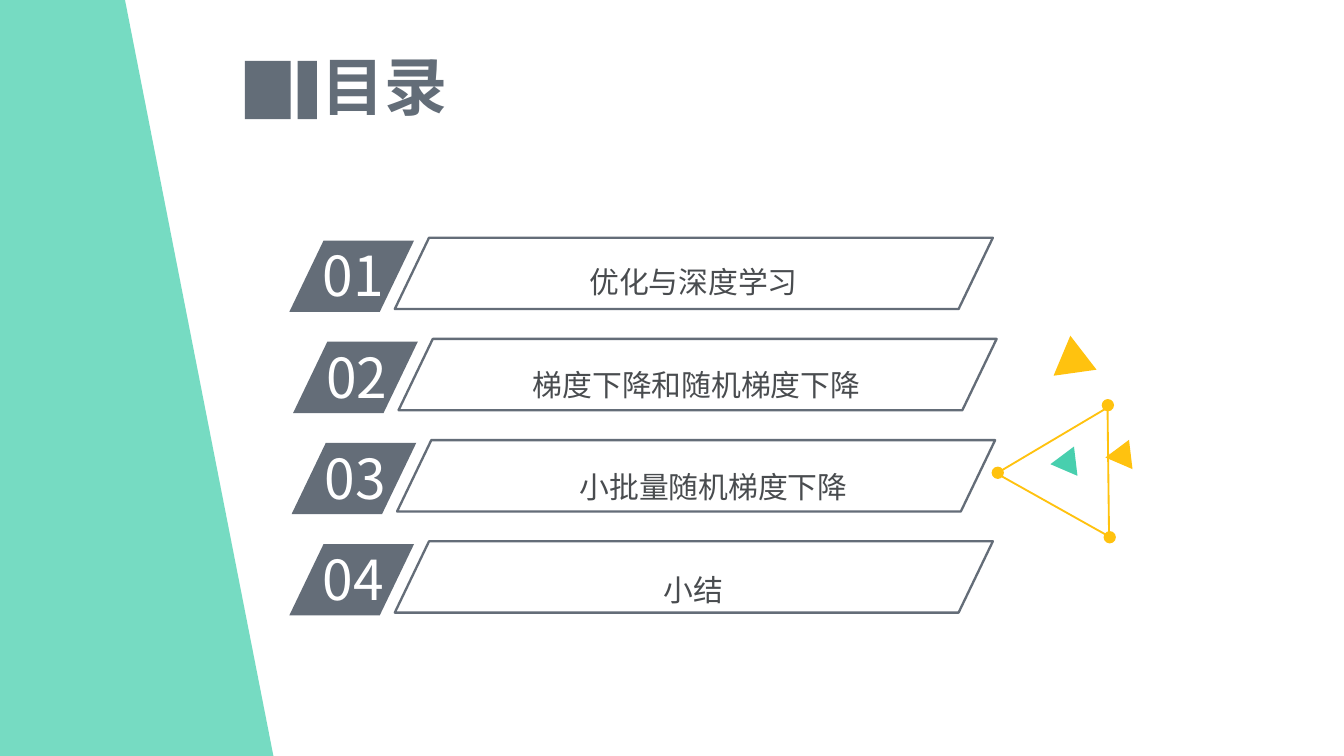
import lxml.etree
import pptx
import pptx.dml.color
import pptx.enum.shapes
import pptx.enum.text
import pptx.oxml.ns
import pptx.util

Pt = pptx.util.Pt
RGB = pptx.dml.color.RGBColor
Kind = pptx.enum.shapes.MSO_SHAPE
Align = pptx.enum.text.PP_ALIGN
Anchor = pptx.enum.text.MSO_ANCHOR
qn = pptx.oxml.ns.qn

SLATE = RGB(0x64, 0x6D, 0x78)
STEEL = RGB(0x63, 0x6D, 0x78)
INK = RGB(0x49, 0x4C, 0x4F)
WHITE = RGB(0xFF, 0xFF, 0xFF)
GOLD = RGB(0xFF, 0xC2, 0x0F)
MINT = RGB(0x48, 0xCF, 0xAE)
TEAL = RGB(0x49, 0xCF, 0xAE)
SANS = "Noto Sans CJK SC"
SERIF = "Times New Roman"


class Deck:
    """Holds the style and the current slide."""

    def __init__(self, width, height):
        self.show = pptx.Presentation()
        self.show.slide_width = Pt(width)
        self.show.slide_height = Pt(height)
        self.slide = self.show.slides.add_slide(self.show.slide_layouts[5])

    def paint(self, item, fill=None, line=None, weight=1):
        item.shadow.inherit = False
        if fill is None:
            item.fill.background()
        else:
            item.fill.solid()
            item.fill.fore_color.rgb = fill
        if line is None:
            item.line.fill.background()
        else:
            item.line.color.rgb = line
            item.line.width = Pt(weight)

    def shape(self, kind, box, turn=0, slant=None, **style):
        item = self.slide.shapes.add_shape(kind, *map(Pt, box))
        item.rotation = turn
        if slant is not None:
            item.adjustments[0] = slant
        self.paint(item, **style)

    def outline(self, points, fill, alpha):
        start, *rest = [(Pt(x), Pt(y)) for x, y in points]
        pen = self.slide.shapes.build_freeform(*start)
        pen.add_line_segments(rest, close=True)
        item = pen.convert_to_shape()
        self.paint(item, fill)
        tint = item.element.spPr.find(qn("a:solidFill"))[0]
        lxml.etree.SubElement(tint, qn("a:alpha"), val=str(alpha * 1000))

    def fit(self, frame, text, size, color, face, align, bold=False, space=1):
        frame.word_wrap = True
        frame.text = text
        para = frame.paragraphs[0]
        para.alignment = align
        para.line_spacing = space
        para.space_before = Pt(0)
        run = para.runs[0]
        run.font.size, run.font.bold, run.font.name = Pt(size), bold, face
        run.font.color.rgb = color
        props = run._r.get_or_add_rPr()
        lxml.etree.SubElement(props, qn("a:ea"), typeface=SANS)

    def label(self, box, text, *style, inset=(7.2, 3.6), **more):
        frame = self.slide.shapes.add_textbox(*map(Pt, box)).text_frame
        frame.margin_left = frame.margin_right = Pt(inset[0])
        frame.margin_top = frame.margin_bottom = Pt(inset[1])
        self.fit(frame, text, *style, **more)

    def title(self, box, text):
        item = self.slide.shapes.title
        item.left, item.top, item.width, item.height = map(Pt, box)
        frame = item.text_frame
        frame.auto_size = pptx.enum.text.MSO_AUTO_SIZE.NONE
        frame.vertical_anchor = Anchor.MIDDLE
        self.fit(frame, text, 33.8, STEEL, SANS, Align.CENTER, bold=True)


deck = Deck(720, 405)

# Side band
deck.outline([(0, 0), (67, 0), (146.5, 405), (0, 405)], TEAL, 75)

# Title with its two bars
deck.title((112.3, 25.2, 187.2, 41), "目录")
for left, width in [(131.2, 24.6), (159.4, 10.4)]:
    deck.shape(Kind.RECTANGLE, (left, 32.6, width, 31.2), fill=STEEL)

# Triangles and dots
for box, turn, color in [
    ((560.9, 185, 23, 20.2), 232.4, GOLD),
    ((565.2, 242.6, 15.8, 13.7), 143.3, MINT),
    ((594.7, 239, 15.8, 13.7), 143.3, GOLD),
]:
    deck.shape(Kind.ISOSCELES_TRIANGLE, box, turn, fill=color)
deck.shape(Kind.ISOSCELES_TRIANGLE, (544.3, 231.8, 69.1, 59.8), 149.3, line=GOLD)
for left, top in [(590.2, 213.8), (591.2, 284.5), (531.2, 250)]:
    deck.shape(Kind.OVAL, (left, top, 6.6, 6.6), fill=GOLD)

# Agenda rows: tag left, text left, text width, text
ROWS = [
    (155, 254.2, 234.7, "优化与深度学习"),
    (157, 221, 304.6, "梯度下降和随机梯度下降"),
    (156.2, 229.7, 305.3, "小批量随机梯度下降"),
    (155, 254.2, 234.7, "小结"),
]
for i, (left, start, width, text) in enumerate(ROWS):
    top = 128.9 + 54.2 * i
    deck.shape(Kind.PARALLELOGRAM, (left, top, 66.8, 38.2), slant=0.48, fill=SLATE)
    deck.label((left + 10.8, top - 2.9, 63.4, 43.2), f"{i + 1:02}",
               29.5, WHITE, SANS, Align.LEFT)
    deck.label((start, top + 0.7 * i, width, 31), text,
               16, INK, SERIF, Align.CENTER, inset=(5.8, 2.9), space=1.5)
    deck.shape(Kind.PARALLELOGRAM, (left + 56.5, top - 1.5, 320.4, 38.2),
               slant=0.48, line=SLATE, weight=1.25)

deck.show.save("out.pptx")
